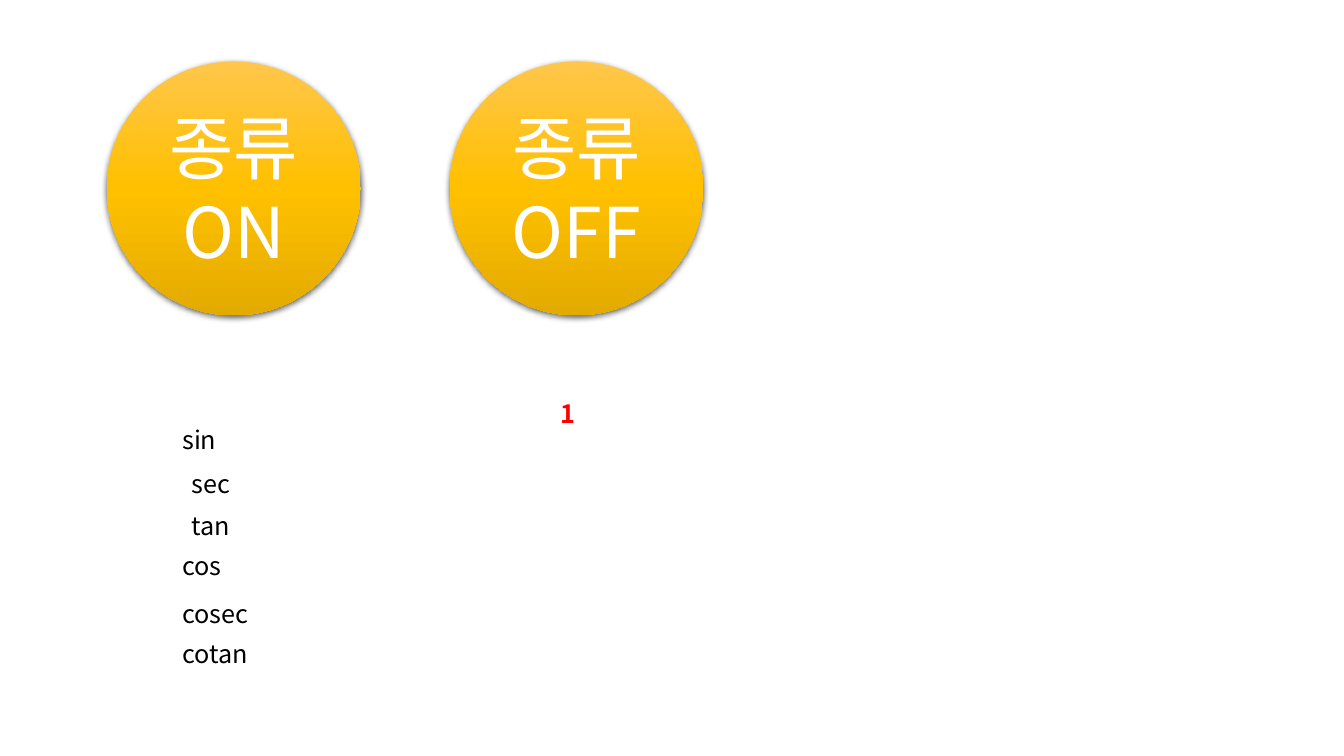
from pptx import Presentation
from pptx.dml.color import RGBColor
from pptx.enum import shapes, text
from pptx.oxml import parse_xml
from pptx.oxml.ns import nsdecls, qn
from pptx.util import Pt

FONT = "Noto Sans CJK KR"
COLORS = {"white": "FFFFFF", "black": "000000", "red": "FF0000",
          "top": "FFC64B", "middle": "FFC000", "bottom": "E3AB00"}
BUTTONS = [("종류", "ON"), ("종류", "OFF")]
BUTTON_LEFT, BUTTON_TOP, BUTTON_SIZE, BUTTON_STEP = 76.3, 43.9, 181.4, 244.8
GRADIENT = [(0, "top"), (50, "middle"), (100, "bottom")]
LABEL_HEIGHT = 28.4
LABELS = [("sin", 123.1, 299.5, 42.5), ("sec", 129.6, 331.2, 42.5),
          ("tan", 129.6, 360.7, 42.5), ("cos", 123.1, 389.5, 42.5),
          ("cosec", 123.1, 424.1, 65.5), ("cotan", 123.1, 452.2, 65.5)]
COUNTER = ("1", 393.1, 280.8, 25.2)


def write(tf, lines, size, color, bold=False, align=None):
    for i, line in enumerate(lines):
        p = tf.add_paragraph() if i else tf.paragraphs[0]
        p.text = line
        p.alignment = align
        p.font.size = Pt(size)
        p.font.bold = bold
        p.font.color.rgb = RGBColor.from_string(COLORS[color])
        p.font.name = FONT
        east_asian = parse_xml(f'<a:ea {nsdecls("a")} typeface="{FONT}"/>')
        p._p.find(".//" + qn("a:defRPr")).append(east_asian)


def add_button(slide, left, lines):
    sp = slide.shapes.add_shape(shapes.MSO_SHAPE.OVAL, Pt(left), Pt(BUTTON_TOP),
                                Pt(BUTTON_SIZE), Pt(BUTTON_SIZE))
    sp.line.fill.background()
    sp.shadow.inherit = False
    props = sp._element.spPr
    stops = "".join(f'<a:gs pos="{pos * 1000}"><a:srgbClr val="{COLORS[name]}"/></a:gs>'
                    for pos, name in GRADIENT)
    props.find(qn("a:prstGeom")).addnext(parse_xml(
        f'<a:gradFill {nsdecls("a")} rotWithShape="1"><a:gsLst>{stops}</a:gsLst>'
        '<a:lin ang="5400000" scaled="0"/></a:gradFill>'))
    props.find(qn("a:effectLst")).append(parse_xml(
        f'<a:outerShdw {nsdecls("a")} blurRad="{Pt(4.5)}" dist="{Pt(1.5)}" dir="5400000"'
        f' algn="ctr" rotWithShape="0"><a:srgbClr val="{COLORS["black"]}">'
        '<a:alpha val="63000"/></a:srgbClr></a:outerShdw>'))
    sp.text_frame.vertical_anchor = text.MSO_ANCHOR.MIDDLE
    write(sp.text_frame, lines, 50, "white", align=text.PP_ALIGN.CENTER)


def add_label(slide, label, left, top, width, color="black", bold=False, wrap=True):
    sp = slide.shapes.add_textbox(Pt(left), Pt(top), Pt(width), Pt(LABEL_HEIGHT))
    tf = sp.text_frame
    tf.word_wrap = wrap
    tf.auto_size = text.MSO_AUTO_SIZE.SHAPE_TO_FIT_TEXT
    write(tf, [label], 18, color, bold)


def main():
    """Build the slide with two round buttons and the function labels."""
    prs = Presentation()
    prs.slide_width, prs.slide_height = Pt(960), Pt(540)
    slide = prs.slides.add_slide(prs.slide_layouts[6])
    for i, lines in enumerate(BUTTONS):
        add_button(slide, BUTTON_LEFT + i * BUTTON_STEP, lines)
    for label in LABELS:
        add_label(slide, *label)
    add_label(slide, *COUNTER, color="red", bold=True, wrap=False)
    prs.save("out.pptx")


if __name__ == "__main__":
    main()
